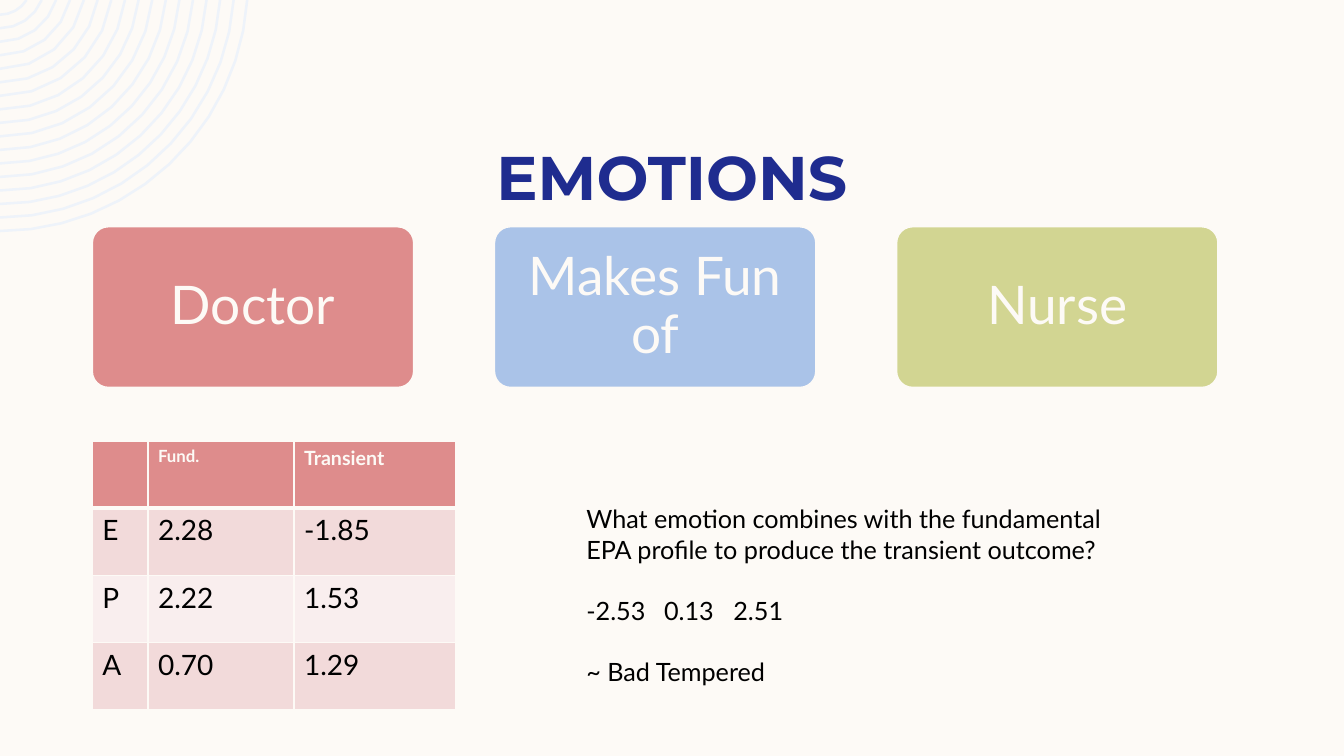
import math
from dataclasses import dataclass

from lxml import etree
from pptx import Presentation
from pptx import util as u
from pptx.dml.color import RGBColor
from pptx.enum import shapes, text
from pptx.oxml import ns

PX = 9525


@dataclass(frozen=True)
class Theme:
    cream: str = "FDFAF6"
    mist: str = "EEF3FA"
    navy: str = "1F2C8F"
    rose: str = "DE8C8C"
    sky: str = "AAC3E8"
    lime: str = "D2D592"
    black: str = "000000"
    bands: tuple = ("F2DADA", "F9EEEE")
    heading: str = "Montserrat"
    body: str = "Lato"
    title_size: int = 44
    card_size: int = 38
    value_size: int = 20
    note_size: int = 18
    header_sizes: tuple = (12, 12, 14)


THEME = Theme()


def px(*lengths):
    return [u.Emu(round(length * PX)) for length in lengths]


def paint(fill, color):
    fill.solid()
    fill.fore_color.rgb = RGBColor.from_string(color)


def style(paragraph, size, color, face=THEME.body, bold=False):
    font = paragraph.font
    font.name, font.size, font.bold = face, u.Pt(size), bold
    font.color.rgb = RGBColor.from_string(color)


def arc_points(center_y, radius):
    start = math.asin(-center_y / radius)
    steps = max(4, round(radius / 20))
    angles = [start + (math.pi / 2 - start) * step / steps for step in range(steps + 1)]
    return [px(radius * math.cos(angle), center_y + radius * math.sin(angle))
            for angle in angles]


def add_rings(slide, center_y, outer, inner, count):
    gap = (outer - inner) / (count - 1)
    arcs = [arc_points(center_y, outer - ring * gap) for ring in range(count)]
    builder = slide.shapes.build_freeform(*arcs[0][0])
    for index, arc in enumerate(arcs):
        if index:
            builder.move_to(*arc[0])
        builder.add_line_segments(arc[1:], close=False)
    rings = builder.convert_to_shape()
    rings.shadow.inherit = False
    rings.fill.background()
    paint(rings.line.fill, THEME.mist)
    rings.line.width = u.Pt(1.8)


def add_title(slide, left, top, width, height):
    title = slide.shapes.add_textbox(*px(left, top, width, height)).text_frame
    title.word_wrap = True
    heading = title.paragraphs[0]
    heading.text = "EMOTIONS"
    heading.alignment = text.PP_ALIGN.CENTER
    style(heading, THEME.title_size, THEME.navy, THEME.heading, True)


def add_event(slide, left, top, width, height, pitch):
    parts = (("Doctor", THEME.rose), ("Makes Fun of", THEME.sky), ("Nurse", THEME.lime))
    for index, (label, color) in enumerate(parts):
        card = slide.shapes.add_shape(
            shapes.MSO_SHAPE.ROUNDED_RECTANGLE,
            *px(left + index * pitch, top, width, height))
        card.adjustments[0] = 0.1
        card.shadow.inherit = False
        paint(card.fill, color)
        paint(card.line.fill, THEME.cream)
        card.line.width = u.Pt(1)
        frame = card.text_frame
        frame.word_wrap = True
        frame.vertical_anchor = text.MSO_ANCHOR.MIDDLE
        frame.margin_left, frame.margin_right = px(8, 8)
        frame.margin_top, frame.margin_bottom = px(5, 5)
        name = frame.paragraphs[0]
        name.text = label
        name.alignment = text.PP_ALIGN.CENTER
        name.line_spacing = 0.9
        style(name, THEME.card_size, THEME.cream)


def add_borders(cell, widths):
    properties = cell._tc.get_or_add_tcPr()
    for index, (side, width) in enumerate(widths.items()):
        border = etree.Element(ns.qn(f"a:ln{side}"), w=str(u.Pt(width)))
        fill = etree.SubElement(border, ns.qn("a:solidFill"))
        etree.SubElement(fill, ns.qn("a:srgbClr"), val=THEME.cream)
        properties.insert(index, border)


def add_profile(slide, left, top, columns, row_height):
    rows = (
        ("", "Fund.", "Transient"),
        ("E", "2.28", "-1.85"),
        ("P", "2.22", "1.53"),
        ("A", "0.70", "1.29"),
    )
    profile = slide.shapes.add_table(
        len(rows), len(columns),
        *px(left, top, sum(columns), row_height * len(rows))).table
    for column, width in zip(profile.columns, px(*columns)):
        column.width = width
    for r, values in enumerate(rows):
        header = r == 0
        for c, value in enumerate(values):
            cell = profile.cell(r, c)
            paint(cell.fill, THEME.rose if header else THEME.bands[(r - 1) % 2])
            add_borders(cell, {"L": 1, "R": 1, "T": 3 if r == 1 else 1,
                               "B": 3 if header else 1})
            entry = cell.text_frame.paragraphs[0]
            entry.text = value
            style(entry, THEME.header_sizes[c] if header else THEME.value_size,
                  THEME.cream if header else THEME.black, bold=header)


def add_question(slide, left, top, width, height, tabs):
    frame = slide.shapes.add_textbox(*px(left, top, width, height)).text_frame
    frame.word_wrap = True
    lines = (
        "What emotion combines with the fundamental EPA profile to produce the transient outcome?",
        "-2.53\t0.13\t2.51",
        "~ Bad Tempered",
    )
    for index, line in enumerate(lines):
        paragraph = frame.add_paragraph() if index else frame.paragraphs[0]
        paragraph.text = line
        if index:
            paragraph.space_before = u.Pt(22)
        style(paragraph, THEME.note_size, THEME.black)
        if "\t" in line:
            stops = etree.Element(ns.qn("a:tabLst"))
            for position in px(*tabs):
                etree.SubElement(stops, ns.qn("a:tab"), pos=str(position), algn="l")
            paragraph._p.pPr.find(ns.qn("a:defRPr")).addprevious(stops)


def add_emotions_slide(deck):
    slide = deck.slides.add_slide(deck.slide_layouts[6])
    paint(slide.background.fill, THEME.cream)
    add_rings(slide, center_y=-16, outer=236, inner=30, count=17)
    add_title(slide, 80, 128, 1120, 81)
    add_profile(slide, 88, 420, (53, 139, 154), 64)
    add_event(slide, 88, 216, 306, 153, pitch=383)
    add_question(slide, 549, 475, 554, 184, tabs=(74, 140))


def main():
    deck = Presentation()
    deck.slide_width, deck.slide_height = px(1280, 720)
    add_emotions_slide(deck)
    deck.save("out.pptx")


if __name__ == "__main__":
    main()
